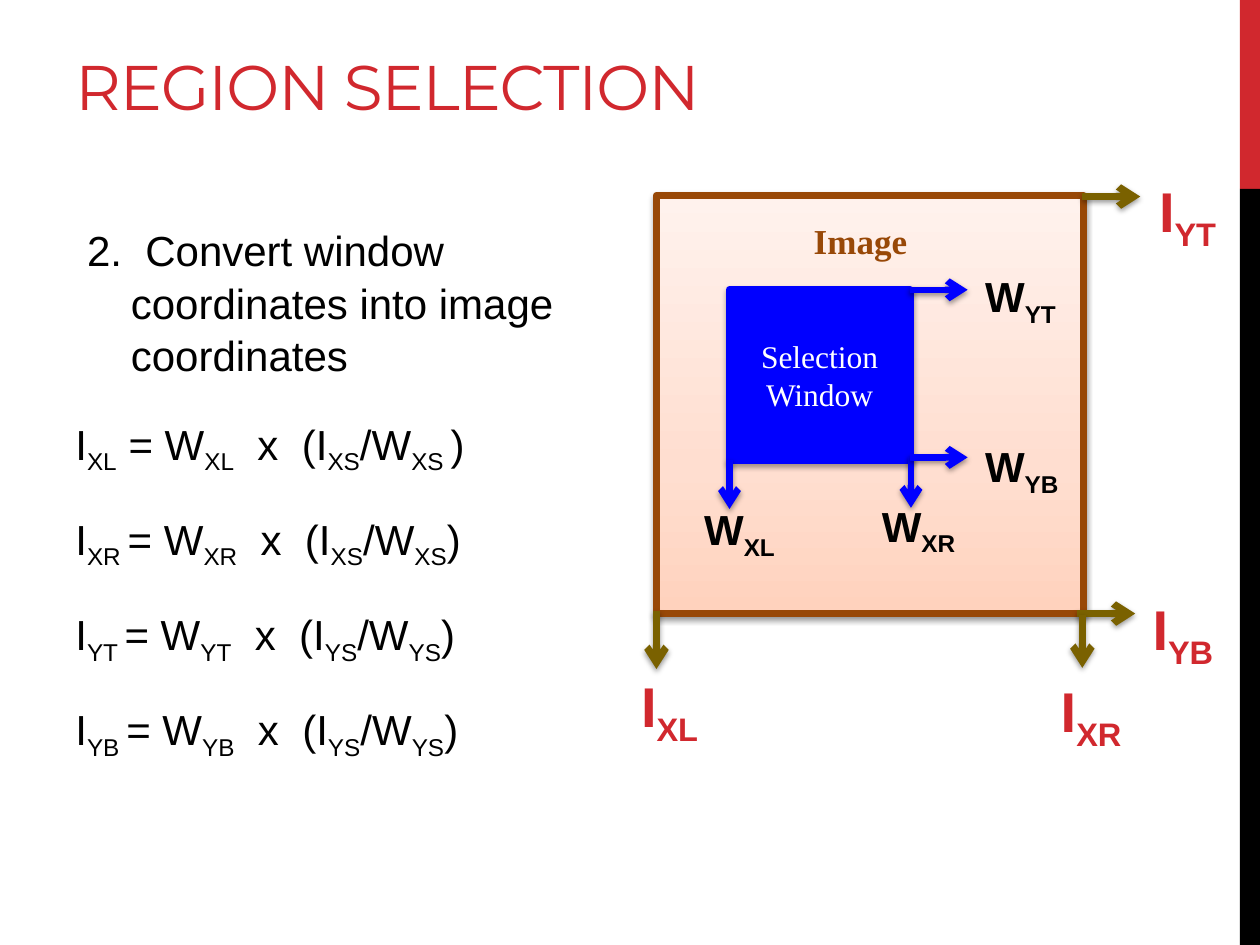
"""Build the region selection slide with its coordinate diagram."""
from copy import deepcopy
from dataclasses import dataclass

from lxml import etree
from pptx import Presentation
from pptx.dml.color import RGBColor
from pptx.enum.shapes import MSO_CONNECTOR, MSO_SHAPE
from pptx.enum.text import MSO_ANCHOR, MSO_AUTO_SIZE, PP_ALIGN
from pptx.oxml.ns import qn
from pptx.util import Inches, Pt

RECTANGLE = MSO_SHAPE.RECTANGLE
STRAIGHT = MSO_CONNECTOR.STRAIGHT
BOTTOM, MIDDLE = MSO_ANCHOR.BOTTOM, MSO_ANCHOR.MIDDLE
CENTER = PP_ALIGN.CENTER
GROW = MSO_AUTO_SIZE.SHAPE_TO_FIT_TEXT

RED = RGBColor(0xD1, 0x28, 0x2E)
BLACK = RGBColor(0x00, 0x00, 0x00)
WHITE = RGBColor(0xFF, 0xFF, 0xFF)
BLUE = RGBColor(0x00, 0x00, 0xFF)
BROWN = RGBColor(0x98, 0x48, 0x07)
OLIVE = RGBColor(0x7A, 0x61, 0x00)
PEACH_STOPS = (
    (0, RGBColor(0xFF, 0xD2, 0xBD)),
    (0.35, RGBColor(0xFF, 0xDE, 0xD0)),
    (1, RGBColor(0xFF, 0xF2, 0xED)),
)


@dataclass(frozen=True)
class Style:
    """Font settings of a text."""
    name: str
    size: float
    color: RGBColor
    bold: bool = False


@dataclass(frozen=True)
class Area:
    """Left, top, width and height in inches."""
    left: float
    top: float
    width: float
    height: float

    def lengths(self) -> list:
        """Return the four values as lengths."""
        return [Inches(value) for value in (self.left, self.top, self.width, self.height)]


@dataclass(frozen=True)
class Label:
    """A one-line label, with its subscript after an underscore."""
    text: str
    area: Area
    style: Style


@dataclass(frozen=True)
class Arrow:
    """An arrow from a point, running right and down by the given inches."""
    left: float
    top: float
    right: float
    down: float
    color: RGBColor
    weight: float


TITLE = Style("Montserrat", 36, RED)
BODY = Style("Arial", 24, BLACK)
WINDOW_TEXT = Style("Times New Roman", 18, WHITE)
IMAGE_LABEL = Style("Times New Roman", 20, BROWN, True)
WINDOW_LABEL = Style("Arial", 24, BLACK, True)
EDGE_LABEL = Style("Arial", 32, RED, True)

STEP = " 2.  Convert window coordinates into image coordinates"
FORMULAS = (
    "I_XL_ = W_XL_  x  (I_XS_/W_XS _)",
    "I_XR _= W_XR_  x  (I_XS_/W_XS_)",
    "I_YT _= W_YT_  x  (I_YS_/W_YS_)",
    "I_YB _= W_YB_  x  (I_YS_/W_YS_)",
)
LABELS = (
    Label("Image", Area(6.36, 1.69, 0.95, 0.44), IMAGE_LABEL),
    Label("W_XL", Area(5.49, 3.95, 0.81, 0.5), WINDOW_LABEL),
    Label("W_XR", Area(6.9, 3.92, 0.83, 0.5), WINDOW_LABEL),
    Label("W_YT", Area(7.72, 2.1, 0.81, 0.5), WINDOW_LABEL),
    Label("W_YB", Area(7.72, 3.45, 0.83, 0.5), WINDOW_LABEL),
    Label("I_YT", Area(9.1, 1.35, 0.71, 0.64), EDGE_LABEL),
    Label("I_YB", Area(9.05, 4.67, 0.74, 0.64), EDGE_LABEL),
    Label("I_XR", Area(8.32, 5.32, 0.74, 0.64), EDGE_LABEL),
    Label("I_XL", Area(4.99, 5.28, 0.71, 0.64), EDGE_LABEL),
)
ARROWS = (
    Arrow(5.79, 3.65, 0, 0.39, BLUE, 3.75),
    Arrow(7.23, 3.63, 0, 0.4, BLUE, 3.75),
    Arrow(7.22, 3.63, 0.46, 0, BLUE, 3.75),
    Arrow(7.22, 2.3, 0.46, 0, BLUE, 3.75),
    Arrow(8.59, 1.56, 0.46, 0, OLIVE, 4),
    Arrow(8.55, 4.87, 0.46, 0, OLIVE, 4),
    Arrow(5.21, 4.85, 0, 0.46, OLIVE, 4),
    Arrow(8.59, 4.88, 0, 0.42, OLIVE, 4),
)


def add_shadow(properties, alpha: int = 38, distance: float = 1.6) -> None:
    """Add a soft downward shadow to shape properties."""
    effects = properties.find(qn("a:effectLst"))
    if effects is None:
        effects = etree.SubElement(properties, qn("a:effectLst"))
    shadow = etree.SubElement(effects, qn("a:outerShdw"), blurRad=str(Pt(3.1)),
                              dist=str(Pt(distance)), dir="5400000", rotWithShape="0")
    color = etree.SubElement(shadow, qn("a:srgbClr"), val=str(BLACK))
    etree.SubElement(color, qn("a:alpha"), val=str(alpha * 1000))


def add_spans(para, text: str, style: Style) -> None:
    """Write text whose underscores switch subscript on and off."""
    values = {"name": style.name, "size": Pt(style.size), "bold": style.bold}
    for index, part in enumerate(text.split("_")):
        span = para.add_run()
        span.text = part
        for key, value in values.items():
            setattr(span.font, key, value)
        span.font.color.rgb = style.color
        if index % 2:
            span.font._element.set("baseline", "-25000")


def add_text(page, area: Area, **settings):
    """Add a text box and return its text frame."""
    frame = page.shapes.add_textbox(*area.lengths()).text_frame
    for key, value in settings.items():
        setattr(frame, key, value)
    return frame


def add_box(page, area: Area, fill: RGBColor, line: RGBColor | None = None, weight: float = 0):
    """Add a rectangle with a plain fill and an optional outline."""
    box = page.shapes.add_shape(RECTANGLE, *area.lengths())
    box.shadow.inherit = False
    box.fill.solid()
    box.fill.fore_color.rgb = fill
    if line is None:
        box.line.fill.background()
    else:
        box.line.color.rgb = line
        box.line.width = Pt(weight)
    return box


def add_gradient(box, stops: tuple) -> None:
    """Fill a box with a gradient that rises from its bottom."""
    box.fill.gradient()
    box.fill.gradient_angle = 90
    stop_list = box._element.spPr.find(".//" + qn("a:gsLst"))
    stop_list.insert(1, deepcopy(stop_list[0]))
    for stop, (position, color) in zip(box.fill.gradient_stops, stops):
        stop.position = position
        stop.color.rgb = color


def add_arrow(page, arrow: Arrow) -> None:
    """Draw an arrow with an open head and a shadow."""
    ends = (arrow.left, arrow.top, arrow.left + arrow.right, arrow.top + arrow.down)
    connector = page.shapes.add_connector(STRAIGHT, *(Inches(value) for value in ends))
    connector.line.color.rgb = arrow.color
    connector.line.width = Pt(arrow.weight)
    etree.SubElement(connector.line._get_or_add_ln(), qn("a:tailEnd"), type="arrow")
    add_shadow(connector._element.spPr)


def add_body(page) -> None:
    """Write the step and its conversion formulas."""
    frame = add_text(page, Area(0.5, 1.71, 4.32, 4.05), word_wrap=True, auto_size=GROW)
    spacing = {"space_before": Pt(10), "space_after": Pt(10), "line_spacing": 1.05}
    for index, text in enumerate((STEP, *FORMULAS)):
        para = frame.add_paragraph() if index else frame.paragraphs[0]
        for key, value in spacing.items():
            setattr(para, key, value)
        add_spans(para, text, BODY)
    step = frame.paragraphs[0]._p.get_or_add_pPr()
    step.set("marL", str(Inches(0.44)))
    step.set("indent", str(Inches(-0.44)))


def main() -> None:
    """Build and save the deck."""
    deck = Presentation()
    deck.slide_width, deck.slide_height = Inches(10), Inches(7.5)
    page = deck.slides.add_slide(deck.slide_layouts[6])
    add_box(page, Area(9.84, 0, 0.16, 1.5), RED)
    add_box(page, Area(9.84, 1.5, 0.16, 6), BLACK)

    title = add_text(page, Area(0.5, 0.17, 6.33, 0.86), word_wrap=True, vertical_anchor=BOTTOM)
    add_spans(title.paragraphs[0], "REGION SELECTION", TITLE)
    title.paragraphs[0].runs[0].font._element.set("spc", "-60")
    add_body(page)

    image = add_box(page, Area(5.21, 1.55, 3.39, 3.32), WHITE, BROWN, 4)
    add_gradient(image, PEACH_STOPS)
    add_shadow(image._element.spPr)
    window = add_box(page, Area(5.79, 2.3, 1.43, 1.35), BLUE, BLUE, 4.5)
    add_shadow(window._element.spPr, 35, 1.8)
    window.text_frame.word_wrap = True
    window.text_frame.vertical_anchor = MIDDLE
    window.text_frame.paragraphs[0].alignment = CENTER
    add_spans(window.text_frame.paragraphs[0], "Selection Window", WINDOW_TEXT)

    for arrow in ARROWS:
        add_arrow(page, arrow)
    for label in LABELS:
        frame = add_text(page, label.area, word_wrap=False, auto_size=GROW)
        add_spans(frame.paragraphs[0], label.text, label.style)
    deck.save("out.pptx")


if __name__ == "__main__":
    main()
